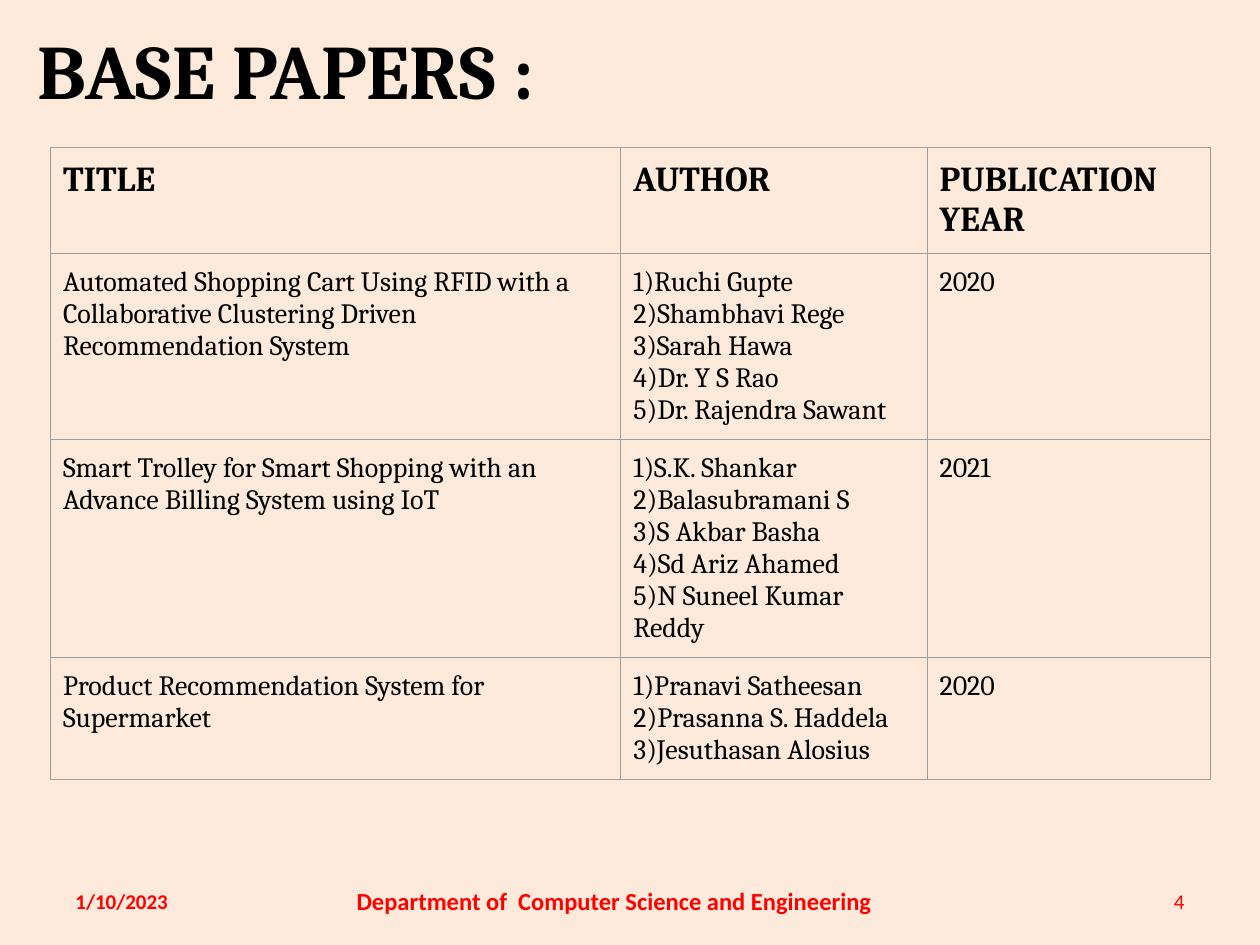
import pptx
import pptx.util
import pptx.dml.color
import pptx.enum.text
import pptx.oxml

Pt = pptx.util.Pt
Align = pptx.enum.text.PP_ALIGN
Anchor = pptx.enum.text.MSO_ANCHOR
NS = "http://schemas.openxmlformats.org/drawingml/2006/main"

theme = {
    "back": "FDEADA", "ink": "000000", "foot": "FF0000", "grid": "9E9E9E",
    "serif": "Cambria", "sans": "Calibri",
    "title": 44, "head": 20, "body": 16, "dept": 14, "small": 12,
}


def write(frame, lines, font, size, color, bold=False, align=Align.LEFT):
    """Fill a text frame with one paragraph per line."""
    for i, line in enumerate(lines):
        para = frame.paragraphs[0] if i == 0 else frame.add_paragraph()
        para.alignment = align
        run = para.add_run()
        run.text = line
        run.font.name = theme[font]
        run.font.size = Pt(theme[size])
        run.font.bold = bold
        run.font.color.rgb = pptx.dml.color.RGBColor.from_string(theme[color])


def edge(cell):
    """Draw a thin line on all four sides of a cell."""
    for i, side in enumerate("LRTB"):
        line = pptx.oxml.parse_xml(
            f'<a:ln{side} xmlns:a="{NS}" w="{Pt(0.75)}"><a:solidFill>'
            f'<a:srgbClr val="{theme["grid"]}"/></a:solidFill></a:ln{side}>')
        cell._tc.get_or_add_tcPr().insert(i, line)


# Slide and background
deck = pptx.Presentation()
deck.slide_width, deck.slide_height = Pt(720), Pt(540)
slide = deck.slides.add_slide(deck.slide_layouts[5])
fill = slide.background.fill
fill.solid()
fill.fore_color.rgb = pptx.dml.color.RGBColor.from_string(theme["back"])

# Title
title = slide.shapes.title
title.left, title.top, title.width, title.height = Pt(14.4), Pt(-6), Pt(648), Pt(90)
title.text_frame.vertical_anchor = Anchor.MIDDLE
write(title.text_frame, ["BASE PAPERS :"], "serif", "title", "ink", True)

# Table of papers: title, authors, year
papers = [
    (["Automated Shopping Cart Using RFID with a",
      "Collaborative Clustering Driven Recommendation System"],
     ["Ruchi Gupte", "Shambhavi Rege", "Sarah Hawa", "Dr. Y S Rao",
      "Dr. Rajendra Sawant"], "2020"),
    (["Smart Trolley for Smart Shopping with an Advance Billing System using IoT"],
     ["S.K. Shankar", "Balasubramani S", "S Akbar Basha", "Sd Ariz Ahamed",
      "N Suneel Kumar Reddy"], "2021"),
    (["Product Recommendation System for Supermarket"],
     ["Pranavi Satheesan", "Prasanna S. Haddela", "Jesuthasan Alosius"], "2020"),
]
rows = [[["TITLE"], ["AUTHOR"], ["PUBLICATION YEAR"]]]
for name, people, year in papers:
    rows.append([name, [f"{n}){who}" for n, who in enumerate(people, 1)], [year]])

widths = [326, 175, 162]
heights = [30, 30, 102, 30]
table = slide.shapes.add_table(len(rows), len(widths), Pt(28.8), Pt(84.24),
                               Pt(sum(widths)), Pt(sum(heights))).table
table.first_row = table.horz_banding = False
for col, width in zip(table.columns, widths):
    col.width = Pt(width)
for r, row in enumerate(rows):
    table.rows[r].height = Pt(heights[r])
    for c, lines in enumerate(row):
        cell = table.cell(r, c)
        cell.fill.background()
        cell.margin_left = cell.margin_right = Pt(7.2)
        cell.margin_top = cell.margin_bottom = Pt(7.2)
        edge(cell)
        write(cell.text_frame, lines, "serif", "body" if r else "head", "ink", r == 0)

# Footer: date, department, page number
feet = [
    (36, 168, "1/10/2023", "small", True, Align.LEFT),
    (186, 330, "Department of  Computer Science and Engineering", "dept", True,
     Align.CENTER),
    (516, 168, "4", "small", False, Align.RIGHT),
]
for left, width, text, size, bold, align in feet:
    frame = slide.shapes.add_textbox(Pt(left), Pt(500.5), Pt(width), Pt(28.75)).text_frame
    frame.word_wrap = True
    frame.vertical_anchor = Anchor.MIDDLE
    write(frame, [text], "sans", size, "foot", bold, align)

deck.save("out.pptx")
